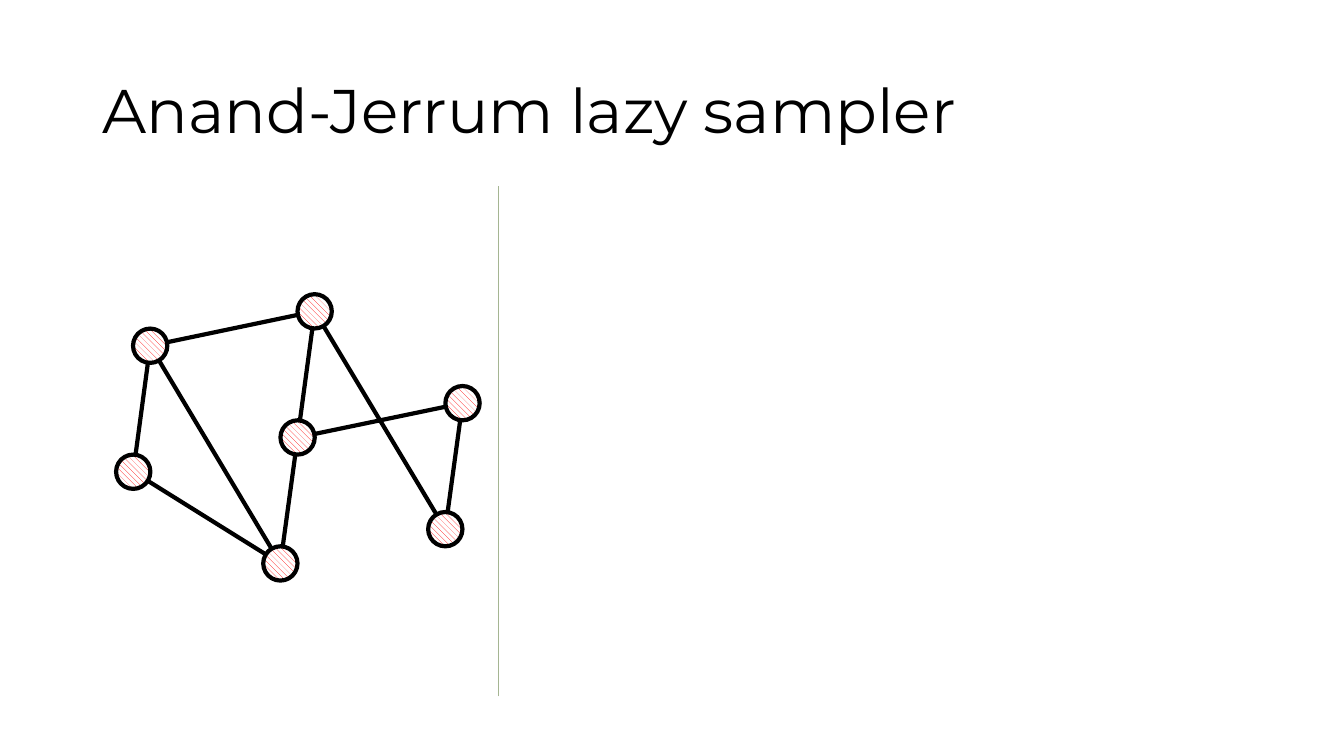
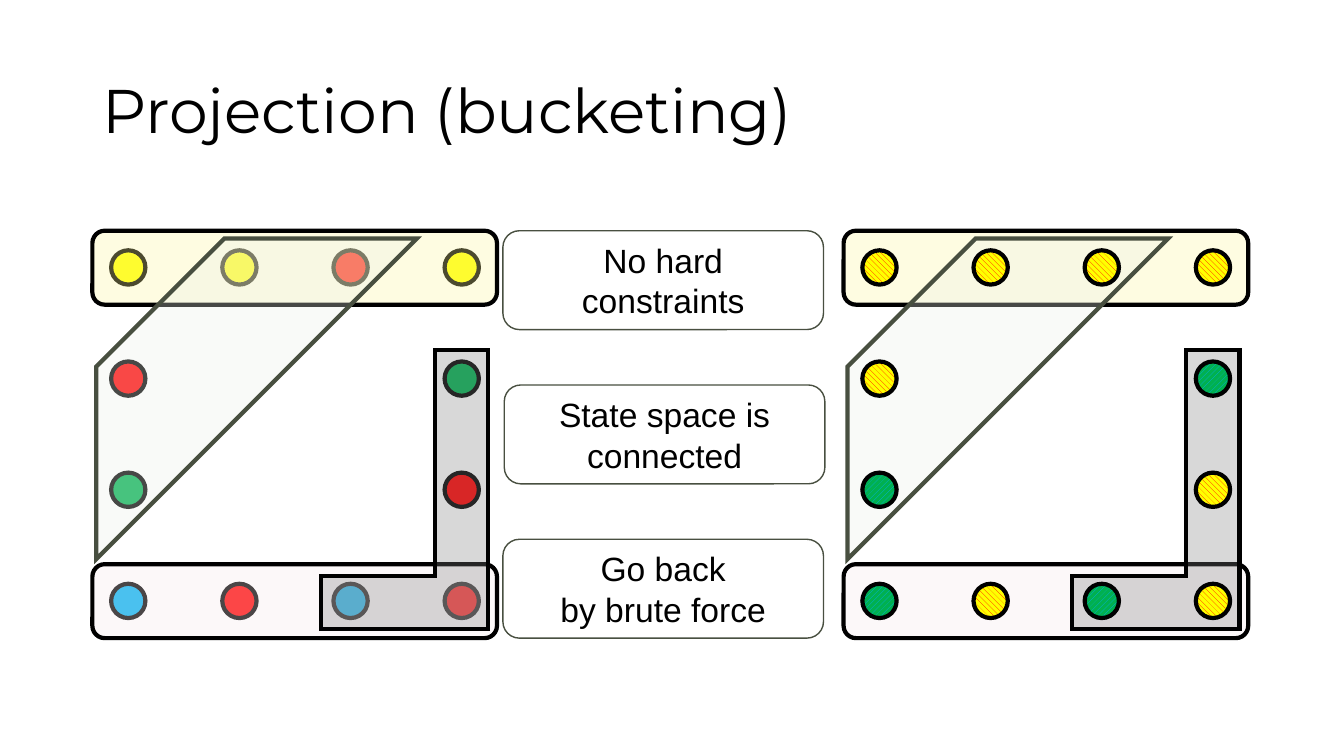
"""Build two slides on the lazy sampler and on projection by bucketing."""
from lxml.etree import SubElement
from pptx import Presentation
from pptx.dml.color import RGBColor
from pptx.enum.dml import MSO_PATTERN
from pptx.enum.shapes import MSO_CONNECTOR, MSO_SHAPE
from pptx.enum.text import MSO_ANCHOR, PP_ALIGN
from pptx.oxml.ns import qn
from pptx.util import Pt

BLACK = RGBColor(0x00, 0x00, 0x00)
WHITE = RGBColor(0xFF, 0xFF, 0xFF)
RED = RGBColor(0xFF, 0x00, 0x00)
YELLOW = RGBColor(0xFF, 0xFF, 0x00)
GREEN = RGBColor(0x00, 0xB0, 0x50)
BLUE = RGBColor(0x00, 0xB0, 0xF0)
SAGE = RGBColor(0xA5, 0xB5, 0x92)
OLIVE = RGBColor(0x48, 0x4F, 0x40)
CREAM = RGBColor(0xFD, 0xF6, 0x9C)
ROSE = RGBColor(0xF6, 0xE9, 0xED)
MIST = RGBColor(0xED, 0xF0, 0xE9)
GRAY = RGBColor(0x7F, 0x7F, 0x7F)

TITLE_FONT = "Montserrat"
BODY_FONT = "Arial"
DOT_SIZE = 24.5
DOWNWARD = MSO_PATTERN.WIDE_DOWNWARD_DIAGONAL
UPWARD = MSO_PATTERN.WIDE_UPWARD_DIAGONAL


def add_outlined(slide, kind, box, color, stripe=None, pattern=None, line=BLACK, width=3):
    """Add a shape with a solid or striped fill and a mitred outline."""
    shape = slide.shapes.add_shape(kind, *[Pt(length) for length in box])
    shape.shadow.inherit = False
    if pattern is None:
        shape.fill.solid()
        shape.fill.fore_color.rgb = color
    else:
        shape.fill.patterned()
        shape.fill.pattern = pattern
        shape.fill.fore_color.rgb = stripe
        shape.fill.back_color.rgb = color
    shape.line.color.rgb = line
    shape.line.width = Pt(width)
    outline = shape._element.spPr.find(qn("a:ln"))
    SubElement(outline, qn("a:miter")).set("lim", "800000")
    return shape


def add_line(slide, start, end, color, width):
    """Add a straight line without a shadow."""
    points = [Pt(length) for length in (*start, *end)]
    connector = slide.shapes.add_connector(MSO_CONNECTOR.STRAIGHT, *points)
    connector.line.color.rgb = color
    connector.line.width = Pt(width)
    SubElement(connector._element.spPr, qn("a:effectLst"))


presentation = Presentation()
presentation.slide_width = Pt(960)
presentation.slide_height = Pt(540)
title_layout = presentation.slide_layouts[5]

slides = []
for title_text in ("Anand-Jerrum lazy sampler", "Projection (bucketing)"):
    slide = presentation.slides.add_slide(title_layout)
    title = slide.shapes.title
    title.left, title.top, title.width, title.height = Pt(66), Pt(28.8), Pt(828), Pt(104.4)
    title.text_frame.text = title_text
    title.text_frame.vertical_anchor = MSO_ANCHOR.MIDDLE
    paragraph = title.text_frame.paragraphs[0]
    paragraph.alignment = PP_ALIGN.LEFT
    paragraph.line_spacing = 0.9
    font = paragraph.runs[0].font
    font.name, font.size, font.color.rgb = TITLE_FONT, Pt(44), BLACK
    slides.append(slide)
sampler_slide, projection_slide = slides

nodes = {
    "upper left": (107.3, 247),
    "top": (224.8, 222.4),
    "bottom": (200.3, 402.5),
    "lower right": (318.1, 378),
    "lower left": (95.2, 337),
    "middle": (212.6, 312.5),
    "right": (330.4, 288),
}
edges = [
    ("upper left", "top"),
    ("upper left", "lower left"),
    ("upper left", "bottom"),
    ("lower left", "bottom"),
    ("top", "middle"),
    ("top", "lower right"),
    ("middle", "bottom"),
    ("middle", "right"),
    ("right", "lower right"),
]
for first, second in edges:
    add_line(sampler_slide, nodes[first], nodes[second], BLACK, 3)
for x, y in nodes.values():
    node_box = (x - DOT_SIZE / 2, y - DOT_SIZE / 2, DOT_SIZE, DOT_SIZE)
    add_outlined(sampler_slide, MSO_SHAPE.OVAL, node_box, WHITE, RED, DOWNWARD)
add_line(sampler_slide, (355.7, 497.5), (355.7, 133.2), SAGE, 0.5)

DOT_STEP = 79.4
DOT_LEFT = 79.4
DOT_TOP = 178.8
PANEL_STEP = 536.6
states = {
    "Y": (YELLOW,),
    "R": (RED,),
    "G": (GREEN,),
    "B": (BLUE,),
    "y": (YELLOW, RED, DOWNWARD),
    "g": (GREEN, BLUE, UPWARD),
}
constraints = [
    (MSO_SHAPE.ROUNDED_RECTANGLE, (66, 164.8, 289, 52.8), CREAM, BLACK, 0, []),
    (MSO_SHAPE.ROUNDED_RECTANGLE, (66, 403, 289, 52.8), ROSE, BLACK, 0, []),
    (MSO_SHAPE.DIAGONAL_STRIPE, (68.7, 170.4, 229, 229), MIST, OLIVE, 0, [0.4]),
    (MSO_SHAPE.CORNER, (189.3, 290, 199.4, 119.6), GRAY, BLACK, 270, [0.32, 0.32]),
]
panels = [
    (["YYRY", "R  G", "G  R", "BRBR"], False),
    (["yyyy", "y  g", "g  y", "gygy"], True),
]
for panel_number, (rows, dots_in_front) in enumerate(panels):
    offset = panel_number * PANEL_STEP
    for drawing_dots in (not dots_in_front, dots_in_front):
        if drawing_dots:
            for row_number, row in enumerate(rows):
                for column_number, state in enumerate(row):
                    if state in states:
                        left = DOT_LEFT + offset + column_number * DOT_STEP
                        top = DOT_TOP + row_number * DOT_STEP
                        dot_box = (left, top, DOT_SIZE, DOT_SIZE)
                        add_outlined(projection_slide, MSO_SHAPE.OVAL, dot_box, *states[state])
        else:
            for kind, (left, top, width, height), color, line, rotation, adjustments in constraints:
                region_box = (left + offset, top, width, height)
                region = add_outlined(projection_slide, kind, region_box, color, line=line)
                region.rotation = rotation
                for index, value in enumerate(adjustments):
                    region.adjustments[index] = value
                region_color = region._element.spPr.find(qn("a:solidFill"))[0]
                SubElement(region_color, qn("a:alpha")).set("val", "30000")

notes = [
    (359.2, ["No hard constraints"]),
    (360.2, ["State space is connected"]),
    (359.2, ["Go back", "by brute force"]),
]
for note_number, (left, lines) in enumerate(notes):
    note_box = (left, 164.8 + note_number * 110.2, 229, 70.6)
    note = add_outlined(
        projection_slide, MSO_SHAPE.ROUNDED_RECTANGLE, note_box, WHITE, line=OLIVE, width=1
    )
    text_frame = note.text_frame
    text_frame.text = "\n".join(lines)
    text_frame.word_wrap = True
    text_frame.vertical_anchor = MSO_ANCHOR.MIDDLE
    text_frame.margin_left = text_frame.margin_right = Pt(10)
    for paragraph in text_frame.paragraphs:
        paragraph.alignment = PP_ALIGN.CENTER
        font = paragraph.runs[0].font
        font.name, font.size, font.color.rgb = BODY_FONT, Pt(24), BLACK

presentation.save("out.pptx")
